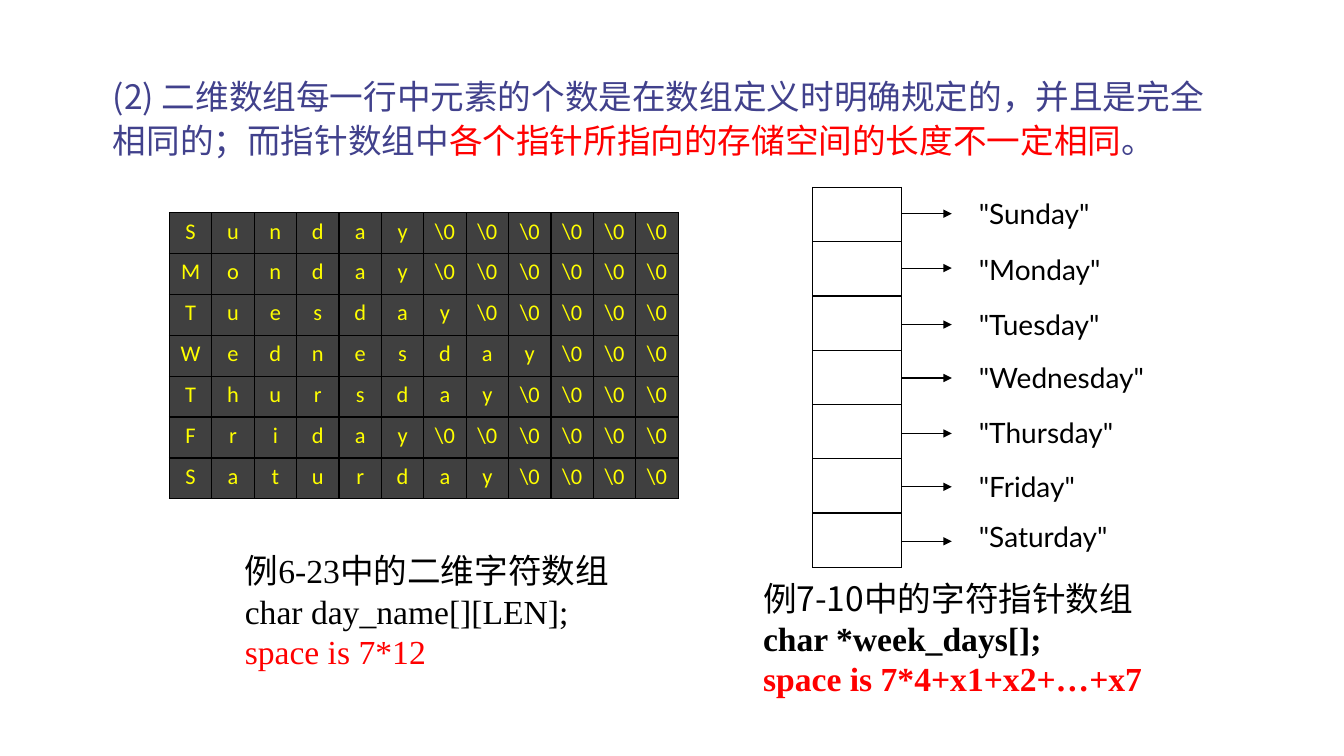
from dataclasses import dataclass

from lxml.etree import SubElement
from pptx import Presentation
from pptx.dml.color import RGBColor
from pptx.enum.shapes import MSO_CONNECTOR as Connector
from pptx.enum.text import MSO_ANCHOR as Anchor, MSO_AUTO_SIZE as AutoSize, PP_ALIGN as Align
from pptx.oxml.ns import qn
from pptx.util import Emu, Pt

PX = 9144  # 100 px to the inch
COLORS = {"heading": "41418C", "accent": "FF0000", "ink": "000000",
          "letter": "FFFF00", "cell": "404040"}
CJK, SERIF, LABEL, LETTER = "Noto Sans CJK SC", "Times New Roman", "Lato", "Calibri"
ROW_LENGTH = 12


@dataclass(frozen=True)
class Run:
    text: str
    size: int
    font: str
    color: str = "ink"
    bold: bool = False


@dataclass(frozen=True)
class Day:
    name: str
    arrow_y: int
    label_y: int
    label_width: int


@dataclass(frozen=True)
class Caption:
    left: int
    top: int
    width: int
    height: int
    lines: tuple[Run, ...]


DAYS = [
    Day("Sunday", 212, 190, 143),
    Day("Monday", 266, 246, 143),
    Day("Tuesday", 322, 300, 143),
    Day("Wednesday", 375, 353, 195),
    Day("Thursday", 430, 407, 185),
    Day("Friday", 483, 461, 143),
    Day("Saturday", 537, 510, 195),
]
HEADING = [
    Run("(2) 二维数组每一行中元素的个数是在数组定义时明确规定的，并且是完全相同的；而指针数组中",
        24, CJK, "heading"),
    Run("各个指针所指向的存储空间的长度不一定相同", 24, CJK, "accent"),
    Run("。", 24, CJK, "heading"),
]
CAPTIONS = [
    Caption(233, 541, 386, 131, (
        Run("例6-23中的二维字符数组", 24, SERIF),
        Run("char day_name[][LEN];", 24, SERIF),
        Run("space is 7*12", 24, SERIF, "accent"))),
    Caption(747, 568, 400, 131, (
        Run("例7-10中的字符指针数组", 24, CJK),
        Run("char *week_days[];", 24, SERIF, bold=True),
        Run("space is 7*4+x1+x2+…+x7", 24, SERIF, "accent", True))),
]


def px(length: int) -> Emu:
    return Emu(length * PX)


def rgb(name: str) -> RGBColor:
    return RGBColor.from_string(COLORS[name])


def add_run(paragraph, part: Run) -> None:
    run = paragraph.add_run()
    run.text = part.text
    font = run.font
    font.size, font.bold, font.name = Pt(part.size), part.bold, part.font
    font.color.rgb = rgb(part.color)
    SubElement(run._r.get_or_add_rPr(), qn("a:ea")).set("typeface", CJK)


def add_text(slide, left: int, top: int, width: int, height: int, lines: tuple[Run, ...]) -> None:
    frame = slide.shapes.add_textbox(px(left), px(top), px(width), px(height)).text_frame
    frame.word_wrap = True
    frame.auto_size = AutoSize.SHAPE_TO_FIT_TEXT
    for index, line in enumerate(lines):
        paragraph = frame.add_paragraph() if index else frame.paragraphs[0]
        add_run(paragraph, line)


def add_borders(cell) -> None:
    properties = cell._tc.get_or_add_tcPr()
    for side in ("a:lnL", "a:lnR", "a:lnT", "a:lnB"):
        border = SubElement(properties, qn(side), w=str(Pt(1)))
        fill = SubElement(border, qn("a:solidFill"))
        SubElement(fill, qn("a:srgbClr"), val=COLORS["ink"])


def add_grid(slide, left: int, top: int, width: int, height: int, columns: int):
    table = slide.shapes.add_table(len(DAYS), columns, px(left), px(top),
                                   px(width), px(height)).table
    table.first_row = table.horz_banding = False
    for column in table.columns:
        column.width = px(width) // columns
    for row in table.rows:
        row.height = px(height) // len(DAYS)
    for cell in table.iter_cells():
        add_borders(cell)
        cell.fill.background()
    return table


def add_arrow(slide, left: int, right: int, y: int) -> None:
    arrow = slide.shapes.add_connector(Connector.STRAIGHT, px(left), px(y), px(right), px(y))
    arrow.line.width = Pt(0.75)
    arrow.line.color.rgb = rgb("ink")
    SubElement(arrow.line._get_or_add_ln(), qn("a:tailEnd"), type="triangle")
    SubElement(arrow._element.spPr, qn("a:effectLst"))


def add_heading(slide) -> None:
    title = slide.shapes.title
    title.left, title.top, title.width, title.height = px(52), px(66), px(1184), px(99)
    frame = title.text_frame
    frame.word_wrap = True
    frame.auto_size = AutoSize.NONE
    frame.vertical_anchor = Anchor.TOP
    paragraph = frame.paragraphs[0]
    paragraph.alignment = Align.LEFT
    paragraph.line_spacing = 1.1
    paragraph.space_before = Pt(0)
    properties = paragraph._p.get_or_add_pPr()
    properties.set("marL", str(px(50)))
    properties.set("indent", "0")
    for part in HEADING:
        add_run(paragraph, part)


def main() -> None:
    deck = Presentation()
    deck.slide_width, deck.slide_height = px(1333), px(750)
    slide = deck.slides.add_slide(deck.slide_layouts[5])
    add_heading(slide)

    # Two-dimensional array: every row padded to the same length
    letters = add_grid(slide, 168, 211, 505, 284, ROW_LENGTH)
    for row, day in enumerate(DAYS):
        padded = list(day.name) + [r"\0"] * (ROW_LENGTH - len(day.name))
        for column, letter in enumerate(padded):
            cell = letters.cell(row, column)
            cell.fill.solid()
            cell.fill.fore_color.rgb = rgb("cell")
            paragraph = cell.text_frame.paragraphs[0]
            paragraph.alignment = Align.CENTER
            add_run(paragraph, Run(letter, 16, LETTER, "letter"))

    # Pointer array: one pointer per string
    add_grid(slide, 806, 186, 88, 377, 1)
    for day in DAYS:
        add_arrow(slide, 894, 944, day.arrow_y)
        add_text(slide, 961, day.label_y, day.label_width, 44,
                 (Run(f'"{day.name}"', 20, LABEL),))

    # Captions
    for caption in CAPTIONS:
        add_text(slide, caption.left, caption.top, caption.width, caption.height, caption.lines)

    deck.save("out.pptx")


if __name__ == "__main__":
    main()
